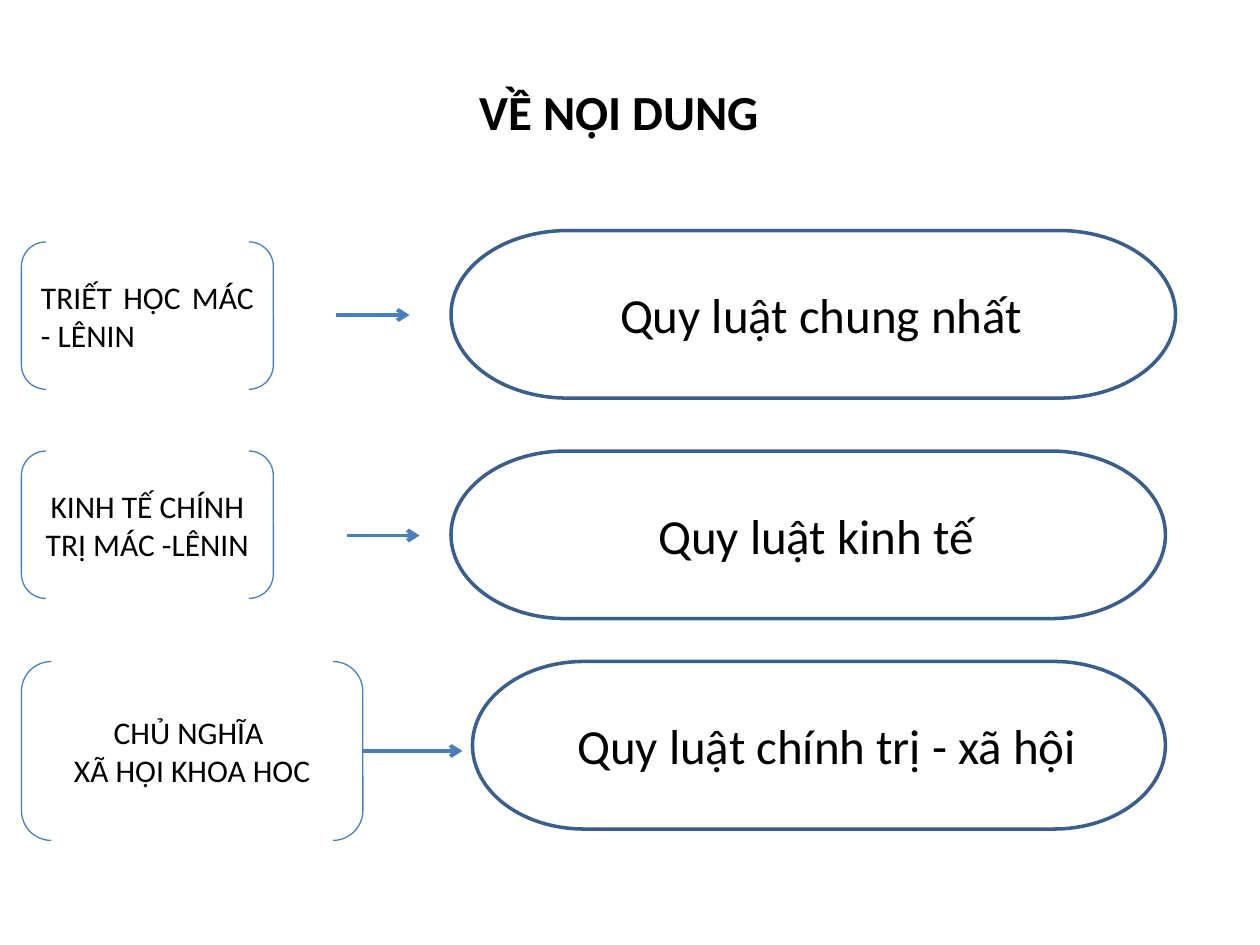
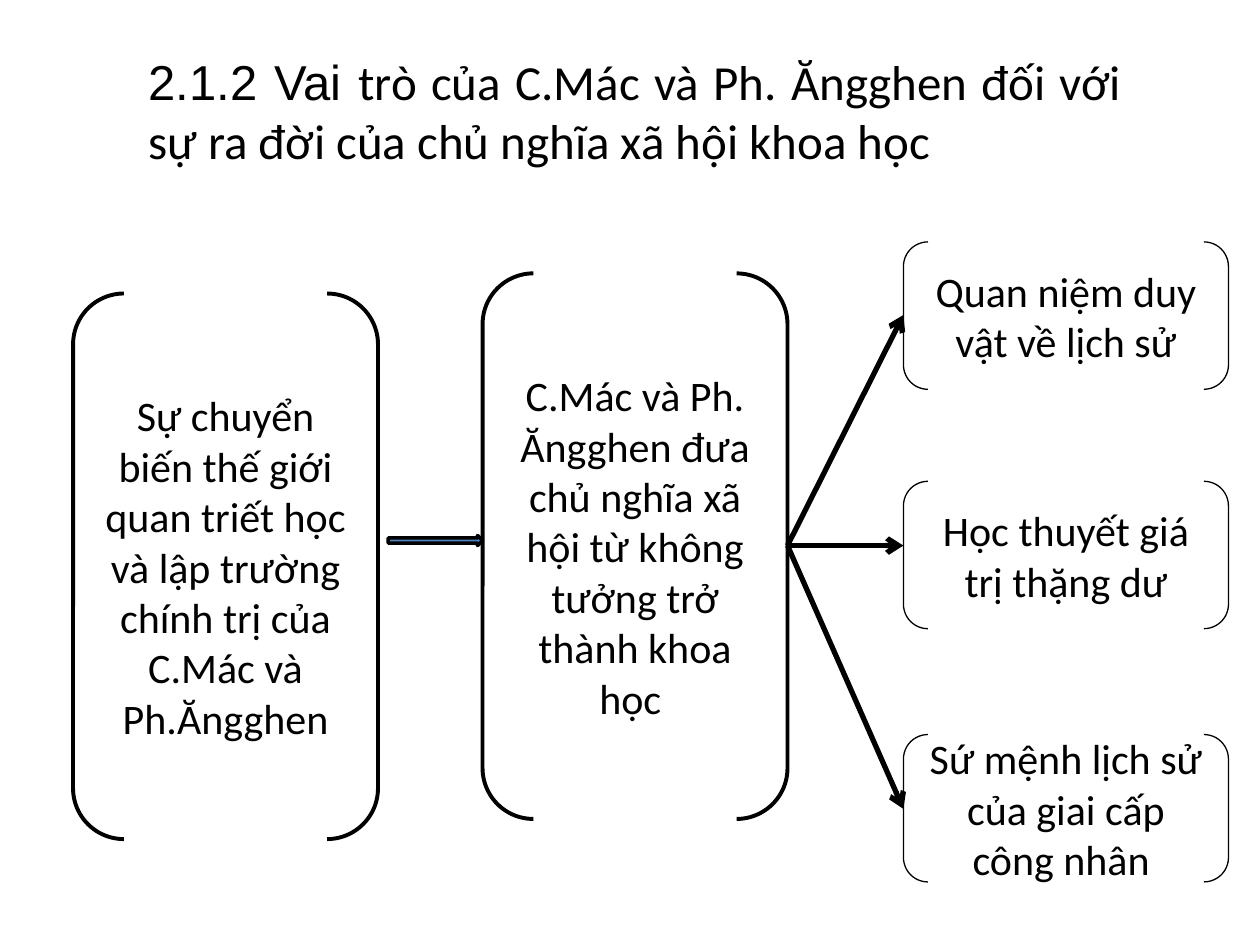
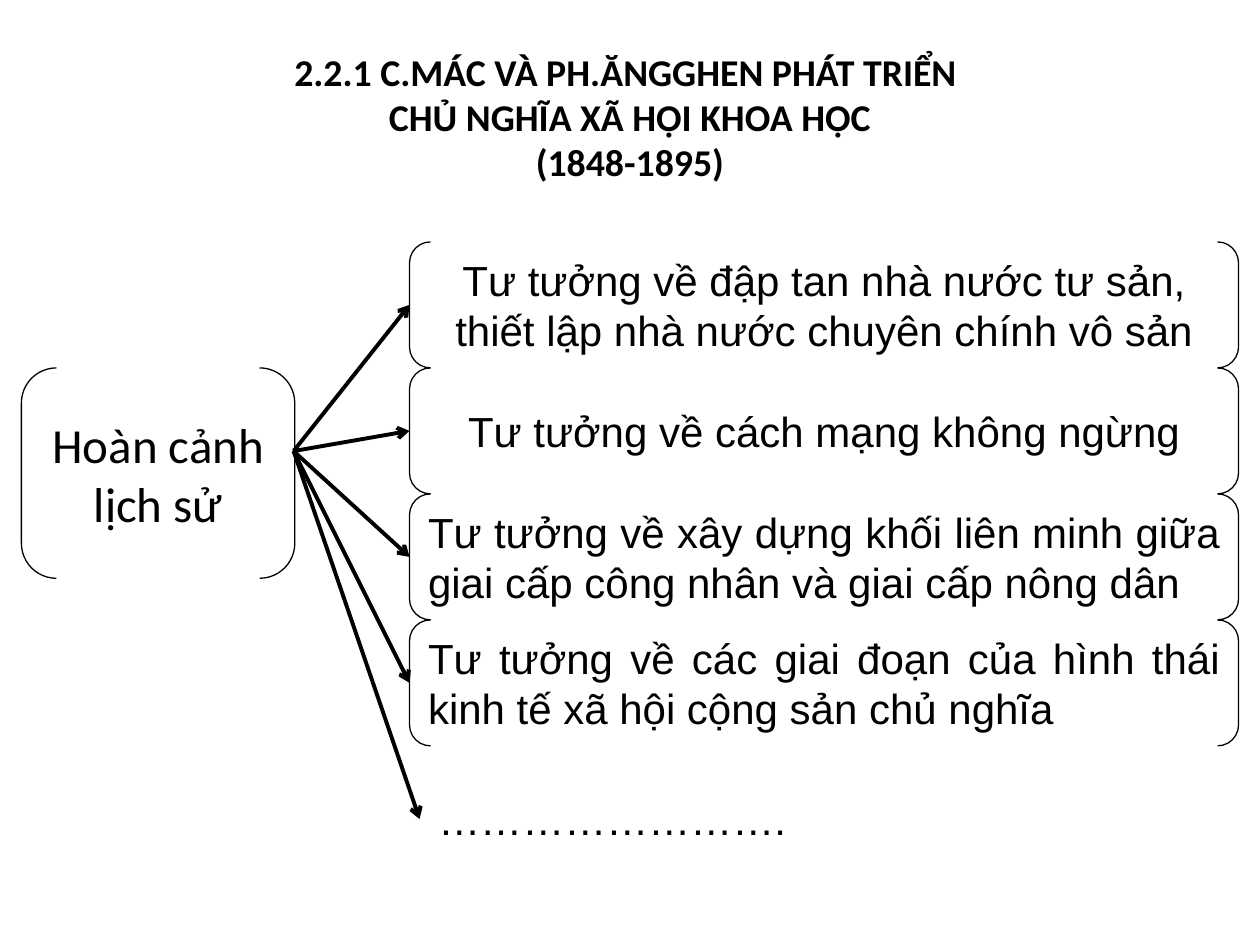
import pptx
import pptx.util
import pptx.dml.color
import pptx.enum.shapes
import pptx.enum.text
import pptx.oxml.ns
import lxml.etree

Inches = pptx.util.Inches
RGBColor = pptx.dml.color.RGBColor
SHAPE = pptx.enum.shapes.MSO_SHAPE
ALIGN = pptx.enum.text.PP_ALIGN
qn = pptx.oxml.ns.qn

BLACK = RGBColor(0, 0, 0)
BLUE = RGBColor(0x4B, 0x7E, 0xBC)
NAVY = RGBColor(0x3A, 0x5F, 0x8C)
FILL = RGBColor(0x4F, 0x81, 0xBD)
MID, JUST = ALIGN.CENTER, ALIGN.JUSTIFY

LAWS = [
    (["TRIẾT HỌC MÁC - LÊNIN"], JUST, (0.17, 1.92, 2, 1.17), (2.67, 3.25, 2.5),
     "Quy luật chung nhất", (3.58, 1.83, 5.75, 1.33)),
    (["KINH TẾ CHÍNH TRỊ MÁC -LÊNIN"], MID, (0.17, 3.58, 2, 1.17), (2.75, 3.33, 4.25),
     "Quy luật kinh tế", (3.58, 3.58, 5.67, 1.33)),
    (["CHỦ NGHĨA ", "XÃ HỘI KHOA HOC"], MID, (0.17, 5.25, 2.71, 1.42), (2.88, 3.67, 5.96),
     "Quy luật chính trị - xã hội", (3.75, 5.25, 5.5, 1.33)),
]
ROLE = [("2.1.2 Vai ", "Arial"),
        ("trò của C.Mác và Ph. Ăngghen đối với sự ra đời của chủ nghĩa xã hội khoa học", "Calibri")]
STEPS = [
    ("Sự chuyển biến thế giới quan triết học và lập trường chính trị của C.Mác và Ph.Ăngghen",
     (0.58, 2.33, 2.42, 4.33)),
    ("C.Mác và Ph. Ăngghen đưa chủ nghĩa xã hội từ không tưởng trở thành khoa học ",
     (3.83, 2.17, 2.42, 4.33)),
]
FINDS = [
    ("Quan niệm duy vật về lịch sử", 1.92, 2.5),
    ("Học thuyết giá trị thặng dư", 3.82, 4.33),
    ("Sứ mệnh lịch sử của giai cấp công nhân ", 5.83, 6.42),
]
GROWTH = ["2.2.1 C.MÁC VÀ PH.ĂNGGHEN PHÁT TRIỂN ", "CHỦ NGHĨA XÃ HỘI KHOA HỌC\v(1848-1895)"]
IDEAS = [
    ("Tư tưởng về đập tan nhà nước tư sản, thiết lập nhà nước chuyên chính vô sản", MID),
    ("Tư tưởng về cách mạng không ngừng", MID),
    ("Tư tưởng về xây dựng khối liên minh giữa giai cấp công nhân và giai cấp nông dân ", JUST),
    ("Tư tưởng về các giai đoạn của hình thái kinh tế xã hội cộng sản chủ nghĩa ", JUST),
]


def write(shape, lines, size=24, font="Calibri", bold=False, align=MID, left=0.1, right=0.1):
    frame = shape.text_frame
    frame.word_wrap = True
    frame.auto_size = pptx.enum.text.MSO_AUTO_SIZE.NONE
    frame.vertical_anchor = pptx.enum.text.MSO_ANCHOR.MIDDLE
    frame.margin_left, frame.margin_right = Inches(left), Inches(right)
    frame.text = "\n".join(lines)
    for para in frame.paragraphs:
        para.alignment = align
        para.font.size = pptx.util.Pt(size)
        para.font.name = font
        para.font.bold = bold
        para.font.color.rgb = BLACK
    return frame


def place(shape, box):
    shape.left, shape.top, shape.width, shape.height = map(Inches, box)


def start(deck, lines, box, **style):
    slide = deck.slides.add_slide(deck.slide_layouts[5])
    title = slide.shapes.title
    place(title, box)
    write(title, lines, **style)
    return slide


def draw(slide, kind, box, color, width, fill=None):
    shape = slide.shapes.add_shape(kind, *map(Inches, box))
    shape.shadow.inherit = False
    if fill is None:
        shape.fill.background()
    else:
        shape.fill.solid()
        shape.fill.fore_color.rgb = fill
    shape.line.color.rgb = color
    shape.line.width = pptx.util.Pt(width)
    return shape


def brace(slide, lines, box, color=BLACK, width=0.75, **style):
    write(draw(slide, SHAPE.DOUBLE_BRACKET, box, color, width), lines, **style)


def arrow(slide, tail, head, color=BLACK, width=2.25):
    link = slide.shapes.add_connector(
        pptx.enum.shapes.MSO_CONNECTOR.STRAIGHT, *map(Inches, (*tail, *head)))
    link.line.color.rgb = color
    link.line.width = pptx.util.Pt(width)
    props = link.line._get_or_add_ln()
    lxml.etree.SubElement(props, qn("a:tailEnd"), type="arrow")
    lxml.etree.SubElement(props.getparent(), qn("a:effectLst"))


def laws(deck):
    slide = start(deck, ["VỀ NỘI DUNG"], (2.75, 0.17, 4.33, 1.42), size=28, bold=True)
    for part, align, box, (x1, x2, y), law, oval in LAWS:
        brace(slide, part, box, BLUE, size=18, align=align)
        arrow(slide, (x1, y), (x2, y), BLUE)
        pill = draw(slide, SHAPE.FLOWCHART_TERMINATOR, oval, NAVY, 2)
        write(pill, [law], size=28, left=0.22)


def role(deck):
    slide = start(deck, [""], (1, 0, 8.08, 1.75), size=28, align=JUST, left=0.18, right=0.18)
    para = slide.shapes.title.text_frame.paragraphs[0]
    for text, font in ROLE:
        run = para.add_run()
        run.text = text
        run.font.name = font
    for text, box in STEPS:
        brace(slide, [text], box, width=2.25)
    for text, top, y in FINDS:
        brace(slide, [text], (7.17, top, 2.58, 1.17))
        arrow(slide, (6.25, 4.33), (7.17, y), width=3)
    draw(slide, SHAPE.RIGHT_ARROW, (3.08, 4.25, 0.75, 0.08), BLACK, 2, FILL)


def growth(deck):
    slide = start(deck, GROWTH, (0.5, 0.3, 9, 1.25), size=21.6, bold=True)
    hub = (2.33, 3.58)
    brace(slide, ["Hoàn cảnh lịch sử"], (0.17, 2.92, 2.17, 1.67), size=28)
    for i, (text, align) in enumerate(IDEAS):
        top = 1.92 + i
        brace(slide, [text], (3.25, top, 6.58, 1), font="Arial", align=align)
        arrow(slide, hub, (3.25, top + 0.5))
    more = slide.shapes.add_textbox(*map(Inches, (3.38, 6, 6.48, 1)))
    write(more, ["…………………….",], font="Arial", align=JUST)
    arrow(slide, hub, (3.33, 6.5))


def main():
    deck = pptx.Presentation()
    deck.slide_width, deck.slide_height = Inches(10), Inches(7.5)
    laws(deck)
    role(deck)
    growth(deck)
    deck.save("out.pptx")


if __name__ == "__main__":
    main()
